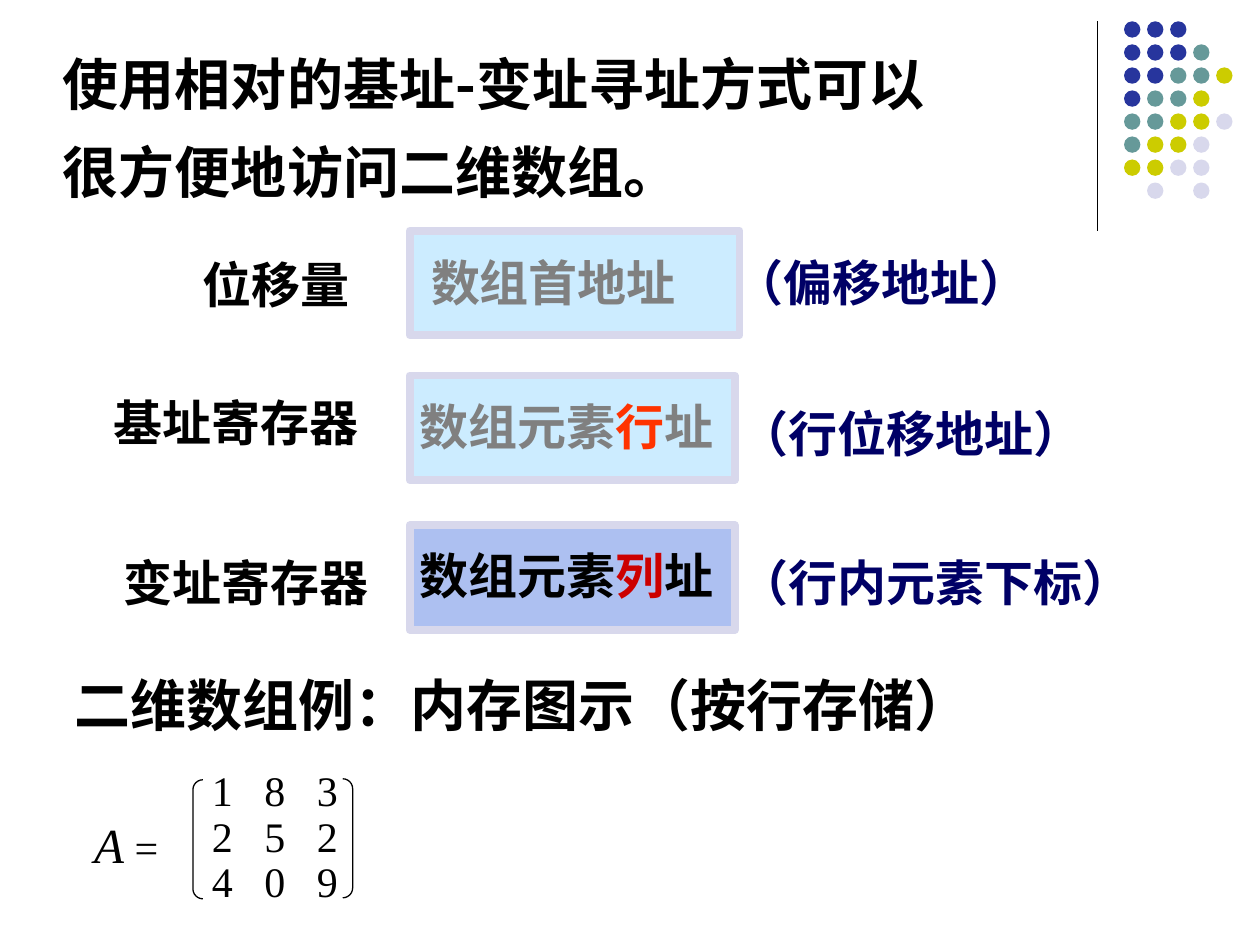
from lxml import etree
from pptx import Presentation
from pptx import util as u
from pptx.dml.color import RGBColor
from pptx.enum import shapes, text
from pptx.oxml.ns import qn

BLACK = RGBColor(0x00, 0x00, 0x00)
GREY = RGBColor(0x80, 0x80, 0x80)
NAVY = RGBColor(0x00, 0x00, 0x66)
ORANGE = RGBColor(0xFF, 0x33, 0x00)
RED = RGBColor(0xCC, 0x00, 0x00)
SKY = RGBColor(0xCC, 0xEC, 0xFF)
PERIWINKLE = RGBColor(0xAD, 0xC0, 0xF1)
BLUE = RGBColor(0x27, 0x35, 0x9D)
TEAL = RGBColor(0x66, 0x99, 0x99)
LIME = RGBColor(0xCC, 0xCC, 0x00)
LILAC = RGBColor(0xD8, 0xD8, 0xEC)

SANS = "Noto Sans CJK SC"
SERIF = "Times New Roman"

deck = Presentation()
deck.slide_width, deck.slide_height = u.Cm(25.4), u.Cm(19.05)
slide = deck.slides.add_slide(deck.slide_layouts[6])


def add_text(left, top, width, height, lines, size=28, font=SERIF, bold=True):
    """Add a text box; each line is a list of (wording, colour) runs."""
    box = slide.shapes.add_textbox(u.Cm(left), u.Cm(top), u.Cm(width), u.Cm(height))
    frame = box.text_frame
    frame.word_wrap = True
    frame.vertical_anchor = text.MSO_ANCHOR.MIDDLE
    frame.margin_left = frame.margin_right = frame.margin_top = frame.margin_bottom = 0
    for index, line in enumerate(lines):
        para = frame.paragraphs[0] if index == 0 else frame.add_paragraph()
        for wording, colour in line:
            span = para.add_run()
            span.text = wording
            span.font.name = font
            span.font.size = u.Pt(size)
            span.font.bold = bold
            span.font.color.rgb = colour
            east_asian = etree.SubElement(span.font._element, qn("a:ea"))
            east_asian.set("typeface", SANS)
    return frame


def add_shape(kind, left, top, width, height, fill=None, line=None, weight=0.75):
    shape = slide.shapes.add_shape(kind, u.Cm(left), u.Cm(top), u.Cm(width), u.Cm(height))
    shape.shadow.inherit = False
    if fill is None:
        shape.fill.background()
    else:
        shape.fill.solid()
        shape.fill.fore_color.rgb = fill
    if line is None:
        shape.line.fill.background()
    else:
        shape.line.color.rgb = line
        shape.line.width = u.Pt(weight)
    return shape


# Corner decoration: a rule and a grid of dots
rule = slide.shapes.add_connector(
    shapes.MSO_CONNECTOR.STRAIGHT, u.Cm(22.12), u.Cm(0.43), u.Cm(22.12), u.Cm(4.65))
rule.line.color.rgb = BLACK
rule.line.width = u.Pt(0.75)
etree.SubElement(rule._element.spPr, qn("a:effectLst"))

DOT_COLOURS = {"B": BLUE, "T": TEAL, "Y": LIME, "L": LILAC}
DOT_ROWS = ["BBB", "BBBT", "BBTTY", "BTTY", "TTYYL", "TYYL", "YYLL", ".L.L"]
DOT_PITCH = 3.25 / 7
for row, codes in enumerate(DOT_ROWS):
    for column, code in enumerate(codes):
        if code in DOT_COLOURS:
            add_shape(shapes.MSO_SHAPE.OVAL, 22.66 + column * DOT_PITCH,
                      0.43 + row * DOT_PITCH, 0.33, 0.33, DOT_COLOURS[code])

# Title
title = add_text(1.27, 0.84, 23.44, 3.43, [
    [("使用相对的基址-变址寻址方式可以", BLACK)],
    [("很方便地访问二维数组。", BLACK)],
], size=32, font=SANS)
title.paragraphs[1].space_before = u.Pt(12)

# Address parts: panel (top, width, fill), then label, content and note,
# each as (left, top, width, runs)
address_parts = [
    ((4.65, 6.65, SKY),
     (4.09, 5.13, 3.18, [("位移量", BLACK)]),
     (8.69, 5.08, 5.28, [("数组首地址", GREY)]),
     (14.81, 5.08, 6.68, [("（偏移地址）", NAVY)])),
    ((7.57, 6.55, SKY),
     (2.29, 7.92, 5.51, [("基址寄存器", BLACK)]),
     (8.46, 8.0, 7.19, [("数组元素", GREY), ("行", ORANGE), ("址", GREY)]),
     (14.91, 8.13, 8.41, [("（行位移地址）", NAVY)])),
    ((10.59, 6.55, PERIWINKLE),
     (2.49, 11.13, 5.51, [("变址寄存器", BLACK)]),
     (8.46, 11.0, 7.19, [("数组元素", BLACK), ("列", RED), ("址", BLACK)]),
     (14.91, 11.13, 8.41, [("（行内元素下标）", NAVY)])),
]
for (panel_top, panel_width, panel_fill), *captions in address_parts:
    add_shape(shapes.MSO_SHAPE.RECTANGLE, 8.26, panel_top, panel_width, 2.11,
              panel_fill, LILAC, 4.5)
    for left, top, width, runs in captions:
        add_text(left, top, width, 1.19, [runs])

# Matrix example
add_text(1.5, 13.51, 22.61, 1.35, [[("二维数组例：内存图示（按行存储）", BLACK)]], size=32)

name = add_text(1.9, 16.41, 1.5, 1.19, [[("A", BLACK), (" =", BLACK)]], bold=False)
letter, equals = name.paragraphs[0].runs
letter.font.italic = True
equals.font.size = u.Pt(24)

MATRIX = [(1, 8, 3), (2, 5, 2), (4, 0, 9)]
matrix = add_text(4.22, 15.52, 2.79, 2.74,
                  [[("\t".join(map(str, values)), BLACK)] for values in MATRIX],
                  size=24, bold=False)
matrix.margin_left = u.Cm(0.05)
for para in matrix.paragraphs:
    para.line_spacing = u.Pt(26)
    tabs = etree.SubElement(para._p.get_or_add_pPr(), qn("a:tabLst"))
    for column in (1, 2):
        tab = etree.SubElement(tabs, qn("a:tab"))
        tab.set("pos", str(u.Cm(1.06 * column)))
        tab.set("algn", "l")

for kind, left, top in [(shapes.MSO_SHAPE.LEFT_BRACKET, 3.89, 15.72),
                        (shapes.MSO_SHAPE.RIGHT_BRACKET, 6.91, 15.7)]:
    bracket = add_shape(kind, left, top, 0.2, 2.4, line=BLACK)
    bracket.adjustments[0] = 1.0

deck.save("out.pptx")
